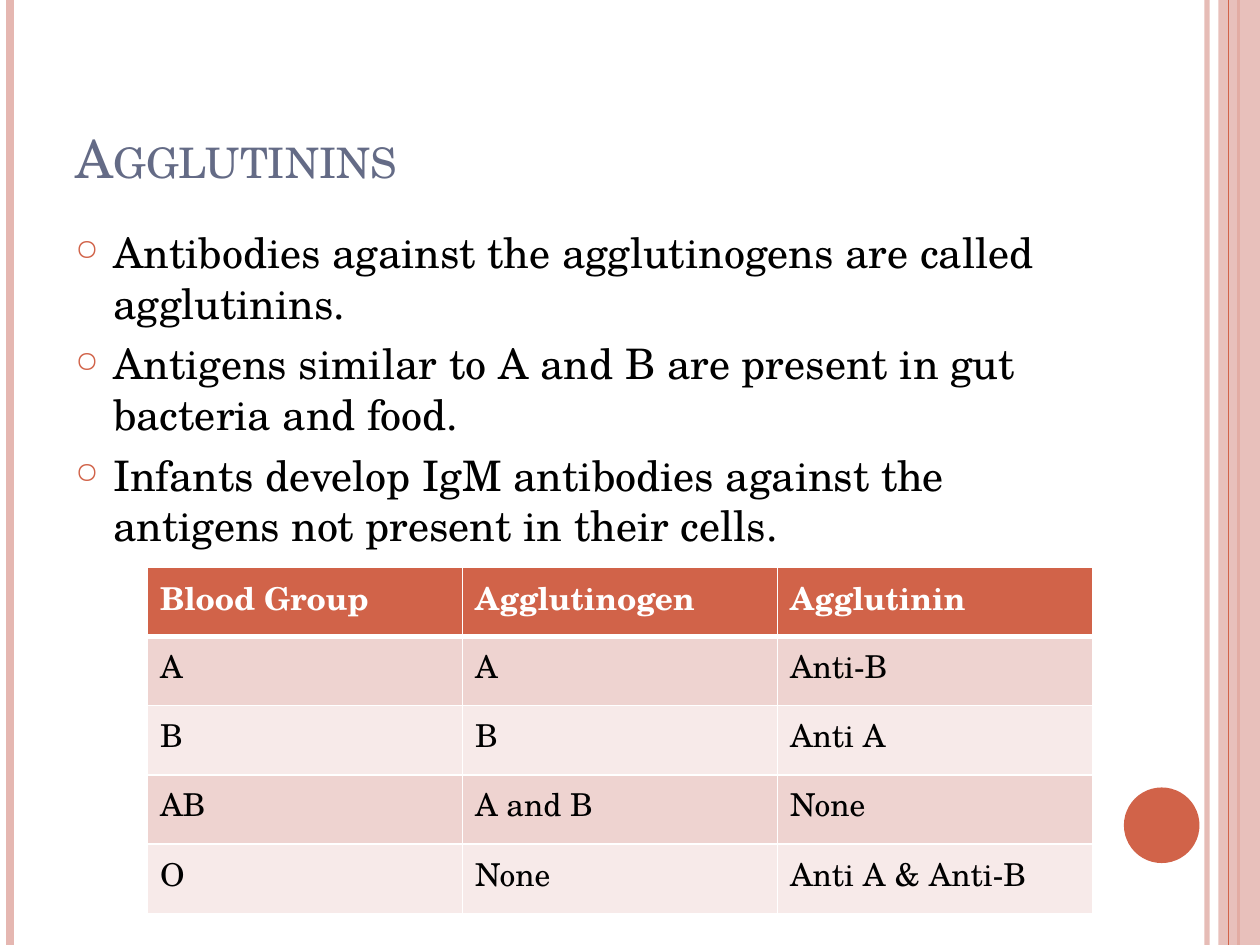
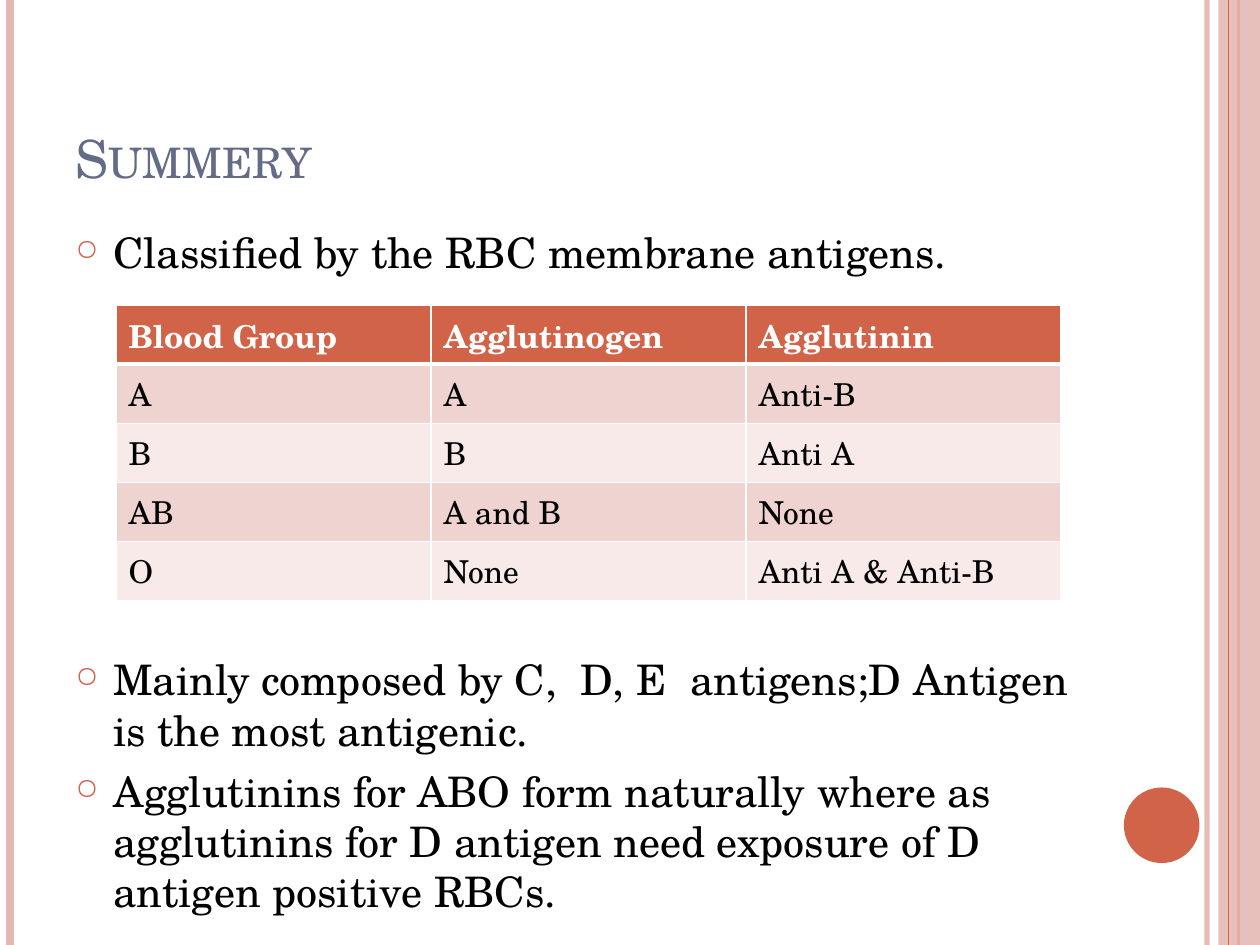
from dataclasses import dataclass

from lxml import etree
from pptx import Presentation
from pptx.dml.color import RGBColor
from pptx.enum.shapes import MSO_CONNECTOR, MSO_SHAPE
from pptx.enum.text import MSO_ANCHOR, MSO_AUTO_SIZE, PP_ALIGN
from pptx.oxml.ns import qn
from pptx.util import Inches, Pt

STRAIGHT = MSO_CONNECTOR.STRAIGHT
RECTANGLE = MSO_SHAPE.RECTANGLE
OVAL = MSO_SHAPE.OVAL
BOTTOM = MSO_ANCHOR.BOTTOM
LEFT = PP_ALIGN.LEFT
NO_AUTOFIT = MSO_AUTO_SIZE.NONE
TITLE_ONLY = 5


@dataclass(frozen=True)
class Theme:
    font: str = "TeX Gyre Schola"
    title_color: str = "646B86"
    text_color: str = "000000"
    white: str = "FFFFFF"
    accent: str = "D16349"
    stripe: str = "E5B7B1"
    dark_band: str = "EED3D0"
    light_band: str = "F7EAE9"
    title_size: int = 30
    body_size: int = 24
    table_size: int = 18
    bullet: str = "○"
    bullet_percent: int = 70


BLOOD_GROUPS = [
    ("Blood Group", "Agglutinogen", "Agglutinin"),
    ("A", "A", "Anti-B"),
    ("B", "B", "Anti A"),
    ("AB", "A and B", "None"),
    ("O", "None", "Anti A & Anti-B"),
]


def add_element(parent, tag, **attributes):
    element = etree.SubElement(parent, qn(tag))
    for name, value in attributes.items():
        element.set(name, str(value))
    return element


class SlideWriter:
    def __init__(self, deck, theme):
        self.deck = deck
        self.theme = theme
        self.page = None

    def new_page(self, title):
        self.page = self.deck.slides.add_slide(self.deck.slide_layouts[TITLE_ONLY])
        self.frame()
        self.title(title)

    def frame(self):
        theme = self.theme
        self.vertical_line(9.58, theme.stripe, 3, opacity=93)
        self.vertical_line(0.08, theme.stripe, 4.5)
        self.vertical_line(9.83, theme.accent, 1.5)
        self.shape(RECTANGLE, 9.67, 0, 0.33, 7.5, theme.stripe, opacity=87)
        self.vertical_line(9.75, theme.accent, 0.75)
        self.shape(OVAL, 8.92, 6.25, 0.6, 0.6, theme.accent)

    def set_opacity(self, parent, opacity):
        color = next(parent.iter(qn("a:srgbClr")))
        add_element(color, "a:alpha", val=opacity * 1000)

    def vertical_line(self, x, color, width, opacity=None):
        line = self.page.shapes.add_connector(
            STRAIGHT, Inches(x), 0, Inches(x), self.deck.slide_height
        )
        line.line.color.rgb = RGBColor.from_string(color)
        line.line.width = Pt(width)
        properties = line._element.spPr
        if opacity:
            self.set_opacity(properties, opacity)
        add_element(properties, "a:effectLst")

    def shape(self, kind, left, top, width, height, color, opacity=None):
        shape = self.page.shapes.add_shape(
            kind, Inches(left), Inches(top), Inches(width), Inches(height)
        )
        shape.shadow.inherit = False
        shape.fill.solid()
        shape.fill.fore_color.rgb = RGBColor.from_string(color)
        shape.line.fill.background()
        if opacity:
            self.set_opacity(shape._element.spPr, opacity)

    def style(self, para, size, color, bold=False):
        font = para.font
        font.name = self.theme.font
        font.size = Pt(size)
        font.bold = bold
        font.color.rgb = RGBColor.from_string(color)

    def title(self, text):
        box = self.page.shapes.title
        box.left, box.top = Inches(0.5), Inches(0.3)
        box.width, box.height = Inches(8.17), Inches(1.25)
        frame = box.text_frame
        frame.text = text
        frame.word_wrap = True
        frame.auto_size = NO_AUTOFIT
        frame.vertical_anchor = BOTTOM
        para = frame.paragraphs[0]
        para.alignment = LEFT
        self.style(para, self.theme.title_size, self.theme.title_color)
        para._p.pPr.find(qn("a:defRPr")).set("cap", "small")

    def bullets(self, top, height, texts):
        theme = self.theme
        box = self.page.shapes.add_textbox(
            Inches(0.5), Inches(top), Inches(8.17), Inches(height)
        )
        frame = box.text_frame
        frame.word_wrap = True
        for index, text in enumerate(texts):
            para = frame.add_paragraph() if index else frame.paragraphs[0]
            para.text = text
            para.space_before = Pt(6 if index else 0)
            properties = para._p.get_or_add_pPr()
            properties.set("marL", str(Inches(0.3)))
            properties.set("indent", str(-Inches(0.3)))
            color = add_element(properties, "a:buClr")
            add_element(color, "a:srgbClr", val=theme.accent)
            add_element(properties, "a:buSzPct", val=theme.bullet_percent * 1000)
            add_element(properties, "a:buChar", char=theme.bullet)
            self.style(para, theme.body_size, theme.text_color)

    def cell_borders(self, cell, top, bottom):
        properties = cell._tc.get_or_add_tcPr()
        widths = {"a:lnL": 1, "a:lnR": 1, "a:lnT": top, "a:lnB": bottom}
        for side, width in widths.items():
            border = add_element(properties, side, w=Pt(width))
            fill = add_element(border, "a:solidFill")
            add_element(fill, "a:srgbClr", val=self.theme.white)

    def table(self, left, top, row_height, rows):
        theme = self.theme
        column_width = Inches(2.5)
        columns = len(rows[0])
        table = self.page.shapes.add_table(
            len(rows), columns, Inches(left), Inches(top),
            column_width * columns, Inches(row_height) * len(rows),
        ).table
        for column in table.columns:
            column.width = column_width
        for row, values in enumerate(rows):
            header = row == 0
            band = theme.dark_band if row % 2 else theme.light_band
            for column, value in enumerate(values):
                cell = table.cell(row, column)
                cell.text = value
                self.cell_borders(cell, 3 if row == 1 else 1, 3 if header else 1)
                cell.fill.solid()
                cell.fill.fore_color.rgb = RGBColor.from_string(
                    theme.accent if header else band
                )
                self.style(
                    cell.text_frame.paragraphs[0], theme.table_size,
                    theme.white if header else theme.text_color, header,
                )


def main():
    deck = Presentation()
    deck.slide_width, deck.slide_height = Inches(10), Inches(7.5)
    writer = SlideWriter(deck, Theme())

    writer.new_page("Agglutinins")
    writer.bullets(1.75, 2.7, [
        "Antibodies against the agglutinogens are called agglutinins.",
        "Antigens similar to A and B are present in gut bacteria and food.",
        "Infants develop IgM antibodies against the antigens not present in their cells.",
    ])
    writer.table(1.17, 4.5, 0.55, BLOOD_GROUPS)

    writer.new_page("Summery")
    writer.bullets(1.75, 0.5, ["Classified by the RBC membrane antigens."])
    writer.table(0.92, 2.42, 0.47, BLOOD_GROUPS)
    writer.bullets(5.14, 2.2, [
        "Mainly composed by C,  D, E  antigens;D Antigen is the most antigenic.",
        "Agglutinins for ABO form naturally where as agglutinins for D antigen "
        "need exposure of D antigen positive RBCs.",
    ])

    deck.save("out.pptx")


if __name__ == "__main__":
    main()
